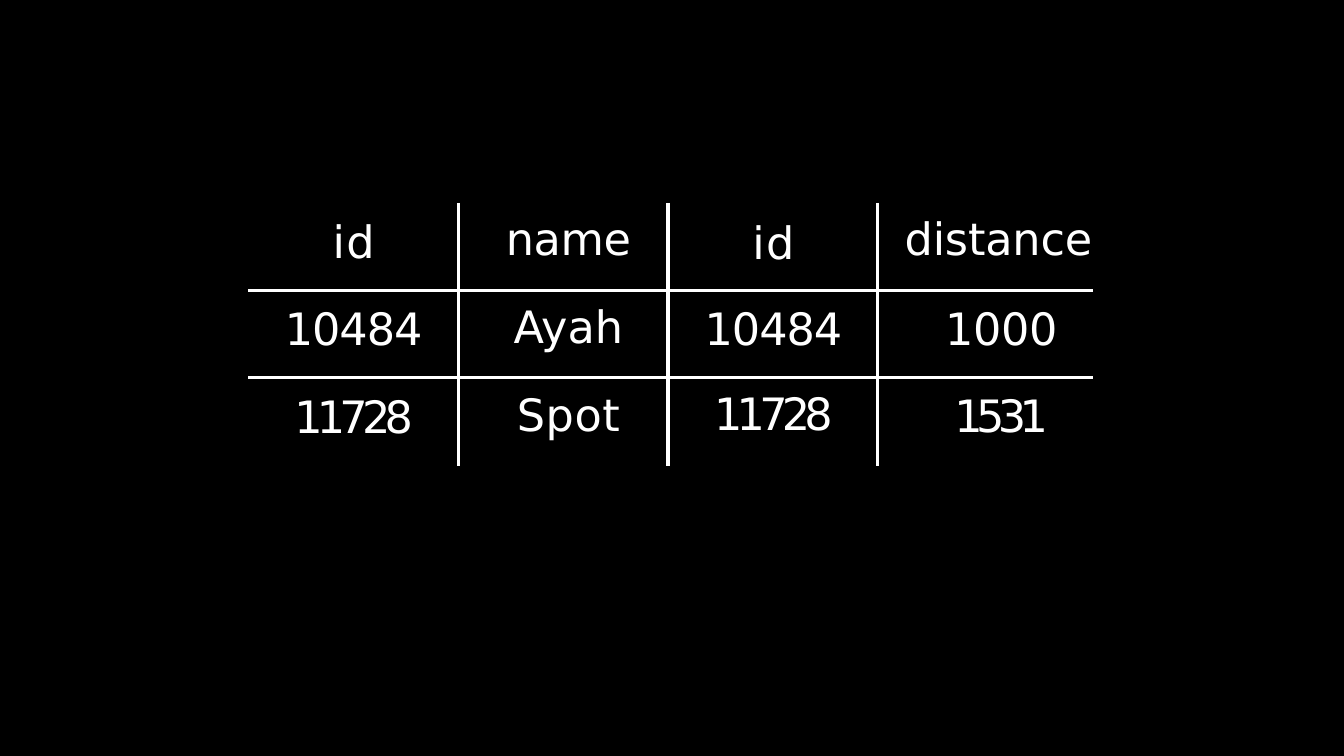
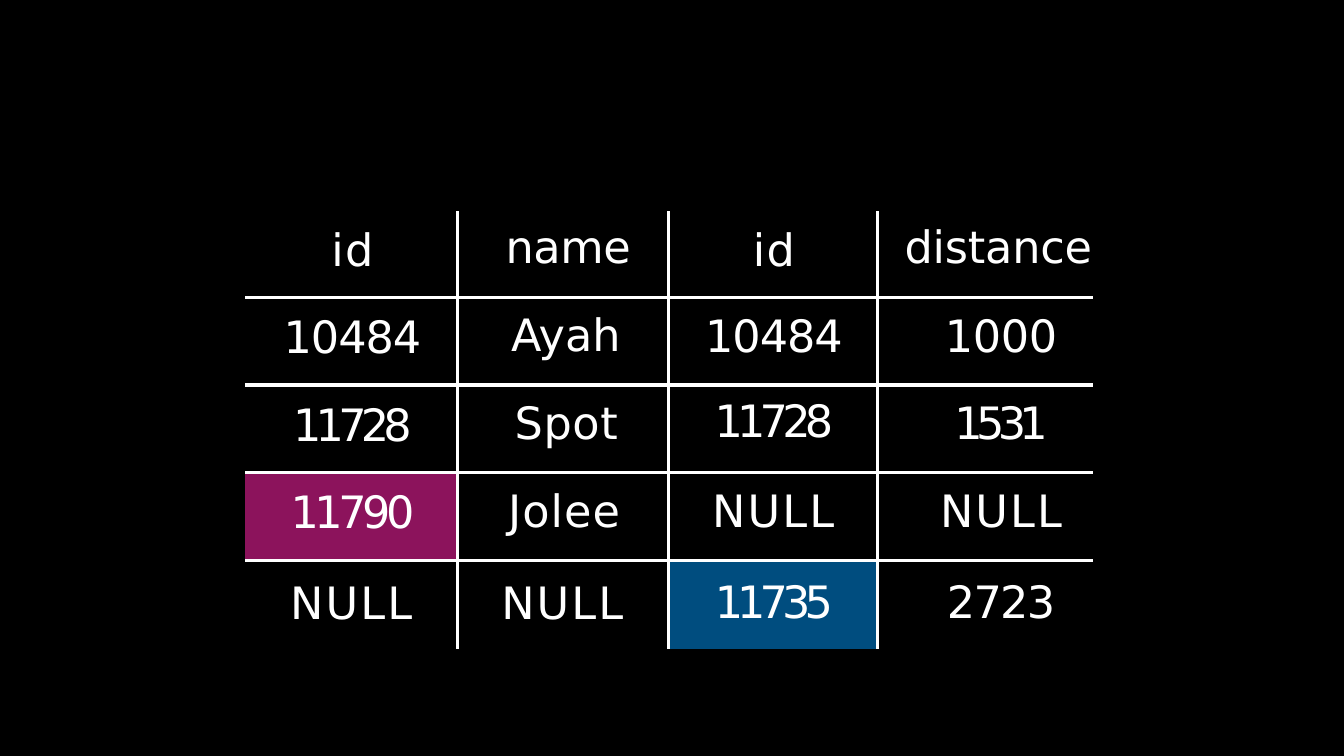
from dataclasses import dataclass

from lxml.etree import SubElement
from pptx import Presentation
from pptx.dml.color import RGBColor
from pptx.enum.text import PP_ALIGN as Align
from pptx.oxml.ns import qn
from pptx.util import Cm, Pt


@dataclass(frozen=True)
class Theme:
    background: str = "000000"
    foreground: str = "FFFFFF"
    left_only: str = "8C135C"
    right_only: str = "004D7F"
    font: str = "DejaVu Sans"
    text_size: float = 52.5
    rule_width: float = 4.25


THEME = Theme()

LETTER_SPACING = {
    "id": 1.6, "name": -0.4, "distance": -0.2,
    "10484": -1.2, "Ayah": 0.1, "1000": -0.4,
    "11728": -6.8, "Spot": 0.8, "1531": -7.8,
    "11790": -5.3, "Jolee": 1.4, "NULL": 2.6,
    "11735": -6.9, "2723": -2,
}

MATCHED_ROWS = [
    ("id", "name", "id", "distance"),
    ("10484", "Ayah", "10484", "1000"),
    ("11728", "Spot", "11728", "1531"),
]
UNMATCHED_ROWS = [
    ("11790", "Jolee", "NULL", "NULL"),
    ("NULL", "NULL", "11735", "2723"),
]


@dataclass(frozen=True)
class JoinTable:
    left: float
    top: float
    columns: tuple
    heights: tuple
    rows: list
    top_insets: list
    left_insets: list
    alignments: tuple
    highlights: dict


INNER_JOIN = JoinTable(
    left=10.31,
    top=8.43,
    columns=(8.74, 8.71, 8.71, 8.97),
    heights=(3.63, 3.63, 3.66),
    rows=MATCHED_ROWS,
    top_insets=[
        (0.6, 0.45, 0.63, 0.49),
        (0.6, 0.48, 0.56, 0.56),
        (0.6, 0.51, 0.47, 0.56),
    ],
    left_insets=[(0.03, 0.43, 0.05, 1.07)] + [(0.03, 0.43, 0.05, 1.3)] * 2,
    alignments=(Align.CENTER,) * 4,
    highlights={},
)

FULL_JOIN = JoinTable(
    left=10.19,
    top=8.79,
    columns=(8.81, 8.79, 8.69, 8.94),
    heights=(3.58, 3.63, 3.63, 3.68, 3.66),
    rows=MATCHED_ROWS + UNMATCHED_ROWS,
    top_insets=[
        (0.57, 0.43, 0.58, 0.44),
        (0.62, 0.51, 0.56, 0.56),
        (0.62, 0.54, 0.48, 0.56),
        (0.62, 0.57, 0.56, 0.57),
        (0.73, 0.73, 0.66, 0.66),
    ],
    left_insets=[
        (0.1, 2.01, 0.05, 1.07),
        (0.1, 2.24, 0.05, 1.3),
        (0.1, 2.39, 0.05, 1.3),
        (0.1, 2.11, 0, 1.3),
        (0, 1.83, 0.05, 1.3),
    ],
    alignments=(Align.CENTER, Align.LEFT, Align.CENTER, Align.CENTER),
    highlights={(3, 0): THEME.left_only, (4, 2): THEME.right_only},
)


def color(value):
    return RGBColor.from_string(value)


def set_borders(cell, visible_sides):
    properties = cell._tc.get_or_add_tcPr()
    for side in "LRTB":
        line = SubElement(properties, qn(f"a:ln{side}"))
        if side in visible_sides:
            line.set("w", str(Pt(THEME.rule_width)))
            fill = SubElement(line, qn("a:solidFill"))
            SubElement(fill, qn("a:srgbClr")).set("val", THEME.foreground)
        else:
            line.set("w", "0")
            SubElement(line, qn("a:noFill"))


def inner_sides(row, column, row_count, column_count):
    is_inner = {
        "L": column > 0,
        "R": column < column_count - 1,
        "T": row > 0,
        "B": row < row_count - 1,
    }
    return {side for side, inner in is_inner.items() if inner}


def write_cell(cell, text, alignment):
    paragraph = cell.text_frame.paragraphs[0]
    paragraph.alignment = alignment
    paragraph.font.name = THEME.font
    paragraph.font.size = Pt(THEME.text_size)
    paragraph.font.bold = False
    paragraph.font.color.rgb = color(THEME.foreground)
    run = paragraph.add_run()
    run.text = text
    spacing = round(LETTER_SPACING[text] * 100)
    run._r.get_or_add_rPr().set("spc", str(spacing))


def add_join_table(slide, join):
    row_count, column_count = len(join.heights), len(join.columns)
    table = slide.shapes.add_table(
        row_count, column_count, Cm(join.left), Cm(join.top),
        Cm(sum(join.columns)), Cm(sum(join.heights)),
    ).table
    table.first_row = False
    table.horz_banding = False
    for column, width in zip(table.columns, join.columns):
        column.width = Cm(width)
    for row, height in zip(table.rows, join.heights):
        row.height = Cm(height)
    for i, texts in enumerate(join.rows):
        for j, text in enumerate(texts):
            cell = table.cell(i, j)
            cell.margin_left = Cm(join.left_insets[i][j])
            cell.margin_top = Cm(join.top_insets[i][j])
            cell.margin_right = cell.margin_bottom = 0
            set_borders(cell, inner_sides(i, j, row_count, column_count))
            cell.fill.solid()
            fill_color = join.highlights.get((i, j), THEME.background)
            cell.fill.fore_color.rgb = color(fill_color)
            write_cell(cell, text, join.alignments[j])


def main():
    presentation = Presentation()
    presentation.slide_width = Cm(55.85)
    presentation.slide_height = Cm(31.42)
    background = presentation.slide_master.background.fill
    background.solid()
    background.fore_color.rgb = color(THEME.background)
    blank_layout = presentation.slide_layouts[6]
    for join in (INNER_JOIN, FULL_JOIN):
        add_join_table(presentation.slides.add_slide(blank_layout), join)
    presentation.save("out.pptx")


if __name__ == "__main__":
    main()
